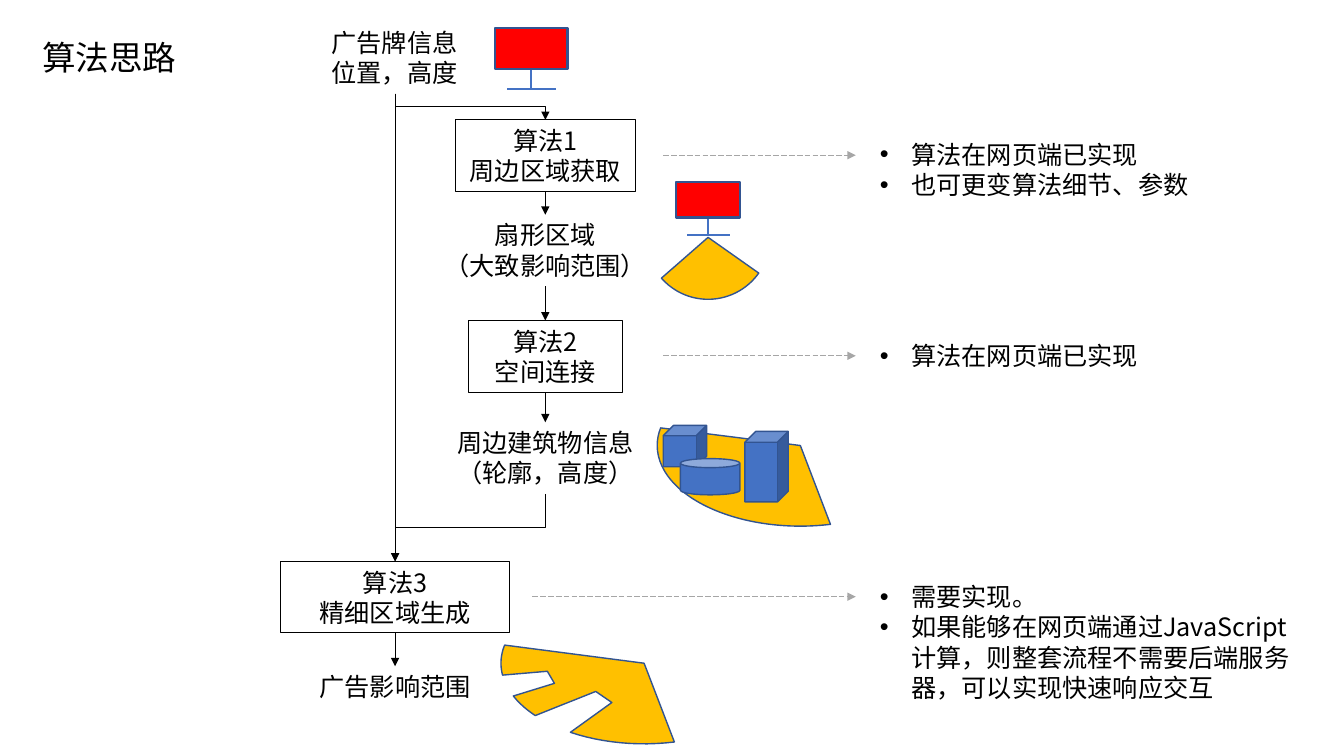
from math import cos, radians, sin

from lxml import etree
from pptx import Presentation
from pptx.dml.color import RGBColor
from pptx.enum.dml import MSO_LINE
from pptx.enum.shapes import MSO_CONNECTOR, MSO_SHAPE
from pptx.enum.text import MSO_ANCHOR, PP_ALIGN
from pptx.oxml.ns import qn
from pptx.util import Inches, Pt

RECT, PIE, CUBE, CAN = (MSO_SHAPE.RECTANGLE, MSO_SHAPE.PIE,
                        MSO_SHAPE.CUBE, MSO_SHAPE.CAN)
LINE, ELBOW = MSO_CONNECTOR.STRAIGHT, MSO_CONNECTOR.ELBOW
DASH = MSO_LINE.LONG_DASH
LEFT, MID = PP_ALIGN.LEFT, PP_ALIGN.CENTER
TOP, CENTER = MSO_ANCHOR.TOP, MSO_ANCHOR.MIDDLE

FONT = "Noto Sans CJK SC"
BLACK, WHITE, GRAY = "000000", "FFFFFF", "A6A6A6"
RED, GOLD, BLUE, NAVY = "FF0000", "FFC000", "4472C4", "325491"
COLS, ROWS = 133.33, 75  # grid cells of a tenth of an inch


def unit(n):
    return Inches(n / 10)


def color(text):
    return RGBColor.from_string(text)


def write(shape, lines, size=18, align=LEFT, wrap=False, bullet=False):
    frame = shape.text_frame
    frame.word_wrap = wrap
    for i, line in enumerate(lines):
        para = frame.paragraphs[0] if i == 0 else frame.add_paragraph()
        para.alignment = align
        if bullet:
            prop = para._p.get_or_add_pPr()
            prop.set("marL", str(unit(3.13)))
            prop.set("indent", str(-unit(3.13)))
            etree.SubElement(prop, qn("a:buFont")).set("typeface", "Arial")
            etree.SubElement(prop, qn("a:buChar")).set("char", "•")
        run = para.add_run()
        run.text = line
        run.font.size = Pt(size)
        run.font.color.rgb = color(BLACK)
        run.font.name = FONT
        prop = run._r.get_or_add_rPr()
        etree.SubElement(prop, qn("a:ea")).set("typeface", FONT)


def label(page, box, lines, **style):
    shape = page.add_textbox(*map(unit, box))
    shape.text_frame.vertical_anchor = TOP
    write(shape, lines, **style)


def paint(shape, fill, edge, width):
    shape.shadow.inherit = False
    shape.fill.solid()
    shape.fill.fore_color.rgb = color(fill)
    shape.line.color.rgb = color(edge)
    shape.line.width = Pt(width)


def solid(page, kind, box, fill, edge=NAVY, width=1):
    shape = page.add_shape(kind, *map(unit, box))
    paint(shape, fill, edge, width)
    return shape


def link(page, start, end, tint=BLACK, width=0.5, kind=LINE, head=True):
    line = page.add_connector(kind, *map(unit, (*start, *end)))
    line.line.color.rgb = color(tint)
    line.line.width = Pt(width)
    if head:
        stroke = line.line._get_or_add_ln()
        etree.SubElement(stroke, qn("a:tailEnd")).set("type", "triangle")
    etree.SubElement(line._element.spPr, qn("a:effectLst"))
    return line


def bend(page, start, end):
    """Elbow that leaves and arrives vertically: a turned sideways one."""
    (x1, y1), (x2, y2) = start, end
    mx, my = (x1 + x2) / 2, (y1 + y2) / 2
    right = x2 > x1
    dx, dy = (y2 - y1) / 2 * (1 if right else -1), abs(x2 - x1) / 2
    line = link(page, (mx + dx, my - dy), (mx - dx, my + dy), kind=ELBOW)
    frame = line._element.spPr.find(qn("a:xfrm"))
    frame.set("rot", str((270 if right else 90) * 60000))


# Flow chart: a trunk on the left and a branch on the right
def flow(page, box):
    left, top, wide, high = box
    trunk, side = left + 11.4, left + 26.3
    steps = [  # centre, top, width, height, lines, framed
        (trunk, 0, 14.6, 7.1, ["广告牌信息", "位置，高度"], False),
        (side, 9.7, 17.9, 7.1, ["算法1", "周边区域获取"], True),
        (side, 19.1, 22.2, 7.1, ["扇形区域", "（大致影响范围）"], False),
        (side, 29.6, 15.3, 7.1, ["算法2", "空间连接"], True),
        (side, 39.7, 22.2, 7.1, ["周边建筑物信息", "（轮廓，高度）"], False),
        (trunk, 53.5, 22.7, 7.1, ["算法3", "精细区域生成"], True),
        (trunk, 63.9, 22.2, 4, ["广告影响范围"], False),
    ]
    ins, outs = [], []
    for mid, y, w, h, lines, framed in steps:
        spot = (mid - w / 2, top + y, w, h)
        if framed:
            shape = solid(page, RECT, spot, WHITE, BLACK, 0.75)
            shape.text_frame.vertical_anchor = CENTER
            write(shape, lines, align=MID)
        else:
            label(page, spot, lines, align=MID if y else LEFT)
        ins.append((mid, top + y))
        outs.append((mid, top + y + h))
    bend(page, outs[0], ins[1])
    link(page, outs[0], ins[5])
    for i in (1, 2, 3, 5):
        link(page, outs[i], ins[i + 1])
    bend(page, outs[4], ins[5])


# Billboard on a stand
def board(page, box):
    x, y, w, h = box
    foot = y + h
    for start, end in [((x + w * 0.17, foot), (x + w * 0.84, foot)),
                       ((x + w / 2, y + h * 0.42), (x + w / 2, foot))]:
        link(page, start, end, BLUE, 1.5, head=False)
    solid(page, RECT, (x, y, w, h * 0.67), RED, width=1.5)


# Sector between two angles in degrees
def fan(page, box, first, last):
    shape = solid(page, PIE, box, GOLD)
    for i, angle in enumerate((first, last)):
        shape.adjustments[i] = angle * 0.6


# Sector with buildings
def city(page, box):
    x, y = box[:2]
    fan(page, box, 69.08, 187.19)
    for kind, dx, dy, w, h in [(CUBE, 0.6, 6, 4.3, 4.1),
                               (CUBE, 8.7, 6.6, 4.3, 7),
                               (CAN, 2.3, 9.3, 5.9, 3.6)]:
        solid(page, kind, (x + dx, y + dy, w, h), BLUE)


# Sector with the shaded parts cut out
def cut(page, box):
    x, y, w, h = box
    rx, ry = w / 2, h / 2

    def arc(first, last, count=12):
        turns = [radians(first + (last - first) * i / count)
                 for i in range(count + 1)]
        return [(rx * cos(t), ry * sin(t)) for t in turns]

    outline = [(0, 0), *arc(77.8, 121), (-3.2, 3.9), (-4.8, 2.8),
               *arc(139.5, 156), (-8.9, 2), (-9.6, 0.8), *arc(171.5, 193)]
    spots = [(unit(x + rx + dx), unit(y + ry + dy)) for dx, dy in outline]
    pen = page.build_freeform(*spots[0])
    pen.add_line_segments(spots[1:], close=True)
    paint(pen.convert_to_shape(), GOLD, NAVY, 1)


# Remarks, each with a dashed arrow from its step
def notes(page, box):
    left, top, wide, high = box
    tip = left + 19.1
    rows = [  # arrow start, arrow row, text row, width, height, wrap, lines
        (0, 2.1, 0, 32.9, 7.1, False,
         ["算法在网页端已实现", "也可更变算法细节、参数"]),
        (0, 22, 20, 27.9, 4, False, ["算法在网页端已实现"]),
        (-13, 45.9, 43.9, 43, 13.1, True,
         ["需要实现。", "如果能够在网页端通过JavaScript计算，则整套流程"
          "不需要后端服务器，可以实现快速响应交互"]),
    ]
    for dx, mark, y, w, h, wrap, lines in rows:
        label(page, (left + 20.5, top + y, w, h), lines,
              wrap=wrap, bullet=True)
        line = link(page, (left + dx, top + mark), (tip, top + mark), GRAY)
        line.line.dash_style = DASH


deck = Presentation()
deck.slide_width, deck.slide_height = unit(COLS), unit(ROWS)
page = deck.slides.add_slide(deck.slide_layouts[6]).shapes

label(page, (3.2, 3.2, 15.5, 5), ["算法思路"], size=24)
flow(page, (27.8, 2.2, 37.4, 67.9))
board(page, (49.1, 2.8, 7.2, 6))
fan(page, (64.1, 17.4, 12.3, 12.3), 35.22, 138.81)
board(page, (67.1, 18.1, 6.3, 5.2))
city(page, (65.2, 36.2, 28.4, 16))
cut(page, (49.7, 57.8, 28.4, 16))
notes(page, (65.8, 13.3, 63.5, 57))

deck.save("out.pptx")
